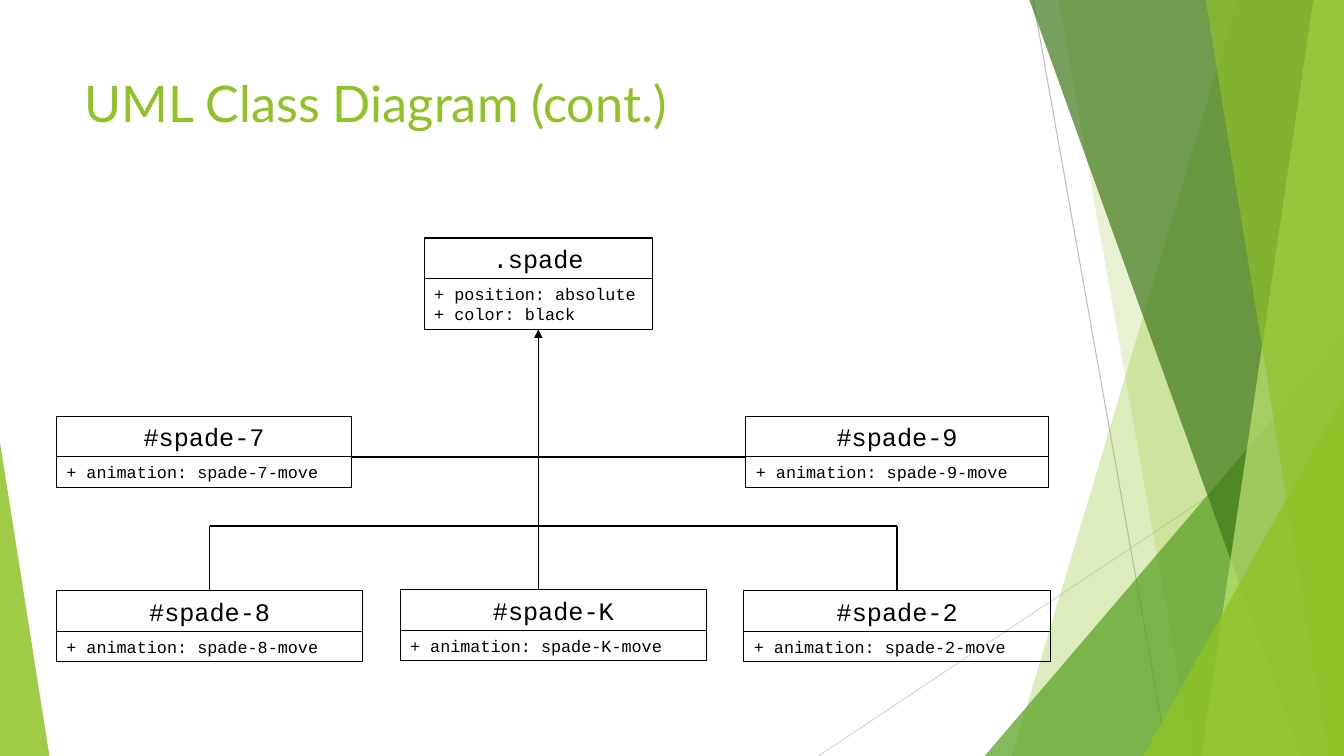
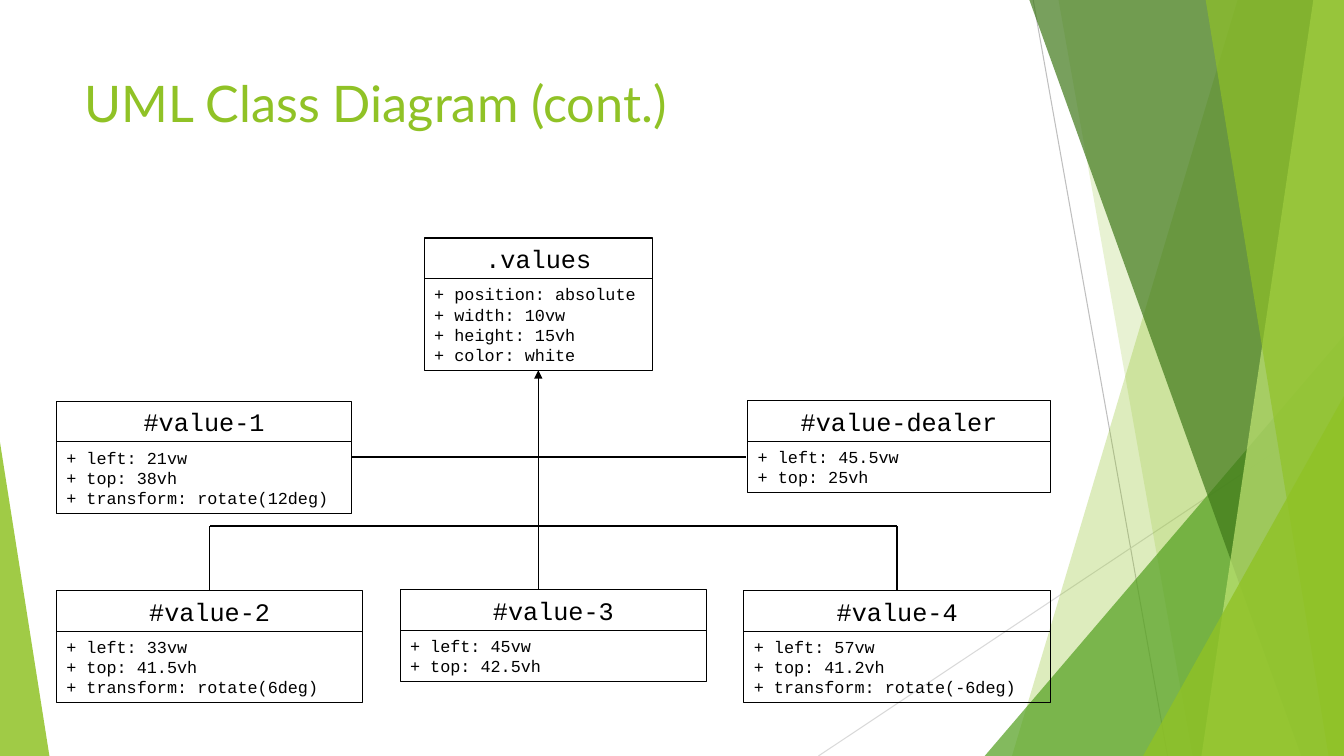
from dataclasses import dataclass

import pptx
import pptx.dml.color
import pptx.enum.dml
import pptx.enum.shapes
import pptx.enum.text
import pptx.oxml.ns
import pptx.presentation
import pptx.shapes.autoshape
import pptx.shapes.connector
import pptx.slide
import pptx.util
from lxml import etree

Pt = pptx.util.Pt
RGBColor = pptx.dml.color.RGBColor
Shape = pptx.enum.shapes.MSO_SHAPE
Align = pptx.enum.text.PP_ALIGN
Anchor = pptx.enum.text.MSO_ANCHOR
qn = pptx.oxml.ns.qn

# Shared look
LIME = RGBColor(0x90, 0xC2, 0x26)
GREEN = RGBColor(0x54, 0xA0, 0x21)
FOREST = RGBColor(0x3F, 0x78, 0x19)
PALE_LIME = RGBColor(0xC0, 0xE4, 0x74)
SILVER = RGBColor(0xBF, 0xBF, 0xBF)
LIGHT_GRAY = RGBColor(0xD9, 0xD9, 0xD9)
BLACK = RGBColor(0, 0, 0)
TITLE_FONT = "Lato"
CODE_FONT = "Courier New"

SLIDE_W, SLIDE_H = 960, 540
BLADE_TOP = -0.6
HEADER_H = 29.1
ATTRIBUTE_LINE_H = 14.54
BOX_PADDING = 7.2

# Diagram grid
PARENT_LEFT, PARENT_TOP, PARENT_W = 303.1, 170, 162.7
TRUNK_X = 384.5
SIDE_RUNG_Y, BRANCH_Y = 326.3, 375.8
ROW_LEFT, ROW_PITCH, ROW_TOP, ROW_W = 40.3, 245.55, 421.9, 218.9
MIDDLE_TOP = 421.3
LEFT_SIDE_W, RIGHT_SIDE_W = 211, 216
RIGHT_SIDE_LEFT = 532.8


@dataclass(frozen=True)
class Blade:
    """Panel reaching from a slanted left side to the right slide edge."""
    top_x: float
    bottom_x: float
    color: RGBColor
    opacity: int


@dataclass(frozen=True)
class Wedge:
    """Triangle standing on the bottom slide edge."""
    left: float
    top: float
    right: float
    apex: float
    color: RGBColor
    opacity: int


@dataclass(frozen=True)
class ClassBox:
    name: str
    attributes: tuple[str, ...]
    left: float
    top: float
    width: float

    @property
    def bottom(self) -> float:
        body = BOX_PADDING + ATTRIBUTE_LINE_H * len(self.attributes)
        return self.top + HEADER_H + body


@dataclass(frozen=True)
class Segment:
    x1: float
    y1: float
    x2: float
    y2: float
    color: RGBColor = BLACK
    weight: float = 1
    arrow: bool = False


@dataclass(frozen=True)
class Diagram:
    parent: ClassBox
    children: tuple[ClassBox, ...]


BACKDROP_LINES = (
    Segment(738, 0, 834, 540, SILVER, 0.75),
    Segment(960, 290, 584.6, 540, LIGHT_GRAY, 0.75),
)
BACKDROP_PANELS = (
    Blade(884.2, 722.9, LIME, 30),
    Blade(756, 851.8, LIME, 20),
    Wedge(703.4, 239.8, SLIDE_W, 1, GREEN, 72),
    Blade(735.1, 929.5, FOREST, 70),
    Blade(938.2, 858.2, PALE_LIME, 70),
    Blade(861.1, 949, LIME, 65),
    Wedge(816.5, 283, SLIDE_W, 1, LIME, 80),
    Wedge(0, 316, 35.3, 0, LIME, 85),
)


def parent_box(name: str, *attributes: str) -> ClassBox:
    return ClassBox(name, attributes, PARENT_LEFT, PARENT_TOP, PARENT_W)


def left_box(name: str, top: float, *attributes: str) -> ClassBox:
    return ClassBox(name, attributes, ROW_LEFT, top, LEFT_SIDE_W)


def right_box(name: str, left: float, top: float, *attributes: str) -> ClassBox:
    return ClassBox(name, attributes, left, top, RIGHT_SIDE_W)


def row_box(column: int, name: str, *attributes: str) -> ClassBox:
    top = MIDDLE_TOP if column == 1 else ROW_TOP
    return ClassBox(name, attributes, ROW_LEFT + column * ROW_PITCH, top, ROW_W)


DIAGRAMS = (
    Diagram(
        parent_box(".spade", "position: absolute", "color: black"),
        (
            left_box("#spade-7", 297.2, "animation: spade-7-move"),
            right_box("#spade-9", RIGHT_SIDE_LEFT, 297.2, "animation: spade-9-move"),
            row_box(0, "#spade-8", "animation: spade-8-move"),
            row_box(1, "#spade-K", "animation: spade-K-move"),
            row_box(2, "#spade-2", "animation: spade-2-move"),
        ),
    ),
    Diagram(
        parent_box(".values", "position: absolute", "width: 10vw",
                   "height: 15vh", "color: white"),
        (
            left_box("#value-1", 286.6, "left: 21vw", "top: 38vh",
                     "transform: rotate(12deg)"),
            right_box("#value-dealer", 534.2, 286.3, "left: 45.5vw", "top: 25vh"),
            row_box(0, "#value-2", "left: 33vw", "top: 41.5vh",
                    "transform: rotate(6deg)"),
            row_box(1, "#value-3", "left: 45vw", "top: 42.5vh"),
            row_box(2, "#value-4", "left: 57vw", "top: 41.2vh",
                    "transform: rotate(-6deg)"),
        ),
    ),
)


def draw_segment(slide: pptx.slide.Slide,
                 segment: Segment) -> pptx.shapes.connector.Connector:
    connector = slide.shapes.add_connector(
        pptx.enum.shapes.MSO_CONNECTOR.STRAIGHT,
        Pt(segment.x1), Pt(segment.y1), Pt(segment.x2), Pt(segment.y2))
    connector.line.color.rgb = segment.color
    connector.line.width = Pt(segment.weight)
    properties = connector.element.spPr
    if segment.arrow:
        etree.SubElement(properties.find(qn("a:ln")), qn("a:tailEnd"), type="triangle")
    etree.SubElement(properties, qn("a:effectLst"))
    return connector


def draw_panel(slide: pptx.slide.Slide,
               panel: Blade | Wedge) -> pptx.shapes.autoshape.Shape:
    if isinstance(panel, Blade):
        outline = slide.shapes.build_freeform(Pt(panel.top_x), Pt(BLADE_TOP))
        outline.add_line_segments([
            (Pt(SLIDE_W), Pt(BLADE_TOP)),
            (Pt(SLIDE_W), Pt(SLIDE_H)),
            (Pt(panel.bottom_x), Pt(SLIDE_H)),
        ])
        facet = outline.convert_to_shape()
    else:
        facet = slide.shapes.add_shape(
            Shape.ISOSCELES_TRIANGLE, Pt(panel.left), Pt(panel.top),
            Pt(panel.right - panel.left), Pt(SLIDE_H - panel.top))
        facet.adjustments[0] = panel.apex
    facet.shadow.inherit = False
    facet.line.fill.background()
    facet.fill.solid()
    facet.fill.fore_color.rgb = panel.color
    tint = facet.element.spPr.find(qn("a:solidFill")).find(qn("a:srgbClr"))
    etree.SubElement(tint, qn("a:alpha"), val=str(panel.opacity * 1000))
    return facet


def prepare_layout(layout: pptx.slide.SlideLayout) -> None:
    """Keep only the title placeholder and set its place."""
    for placeholder in list(layout.placeholders):
        if placeholder.placeholder_format.type == pptx.enum.shapes.PP_PLACEHOLDER.TITLE:
            placeholder.left, placeholder.top = Pt(53.3), Pt(48)
            placeholder.width, placeholder.height = Pt(676.8), Pt(104)
        else:
            layout.shapes.element.remove(placeholder.element)


def add_backdrop(layout: pptx.slide.SlideLayout, slide: pptx.slide.Slide) -> None:
    """Draw the backdrop on a slide, then hand it to the shared layout."""
    facets = [draw_segment(slide, line) for line in BACKDROP_LINES]
    facets += [draw_panel(slide, panel) for panel in BACKDROP_PANELS]
    for facet in facets:
        layout.shapes.element.append(facet.element)


def write_title(slide: pptx.slide.Slide, text: str) -> None:
    frame = slide.shapes.title.text_frame
    frame.text = text
    frame.vertical_anchor = Anchor.TOP
    heading = frame.paragraphs[0]
    heading.alignment = Align.LEFT
    font = heading.runs[0].font
    font.name, font.size = TITLE_FONT, Pt(36)
    font.color.rgb = LIME


def draw_compartment(slide: pptx.slide.Slide, box: ClassBox, top: float,
                     height: float, text: str, size: float,
                     alignment: pptx.enum.text.PP_ALIGN) -> None:
    compartment = slide.shapes.add_shape(
        Shape.RECTANGLE, Pt(box.left), Pt(top), Pt(box.width), Pt(height))
    compartment.shadow.inherit = False
    compartment.fill.background()
    compartment.line.color.rgb = BLACK
    compartment.line.width = Pt(0.75)
    frame = compartment.text_frame
    frame.text = text
    frame.word_wrap = True
    frame.auto_size = pptx.enum.text.MSO_AUTO_SIZE.SHAPE_TO_FIT_TEXT
    frame.vertical_anchor = Anchor.MIDDLE
    for paragraph in frame.paragraphs:
        paragraph.alignment = alignment
        for run in paragraph.runs:
            run.font.name, run.font.size = CODE_FONT, Pt(size)
            run.font.color.rgb = BLACK


def draw_class(slide: pptx.slide.Slide, box: ClassBox) -> None:
    body_top = box.top + HEADER_H
    attributes = "\n".join(f"+ {attribute}" for attribute in box.attributes)
    draw_compartment(slide, box, box.top, HEADER_H, box.name, 18, Align.CENTER)
    draw_compartment(slide, box, body_top, box.bottom - body_top, attributes, 12,
                     Align.LEFT)


def draw_inheritance(slide: pptx.slide.Slide, parent: ClassBox) -> None:
    # Trunk up to the parent and down to the middle child
    draw_segment(slide, Segment(TRUNK_X, SIDE_RUNG_Y, TRUNK_X, parent.bottom, arrow=True))
    draw_segment(slide, Segment(TRUNK_X, SIDE_RUNG_Y, TRUNK_X, BRANCH_Y))
    draw_segment(slide, Segment(TRUNK_X, BRANCH_Y, TRUNK_X, MIDDLE_TOP))
    # Rungs to the side children
    for side_x in (ROW_LEFT + LEFT_SIDE_W, RIGHT_SIDE_LEFT):
        draw_segment(slide, Segment(TRUNK_X, SIDE_RUNG_Y, side_x, SIDE_RUNG_Y))
    # Branches to the outer children of the bottom row
    for column in (0, 2):
        child_x = ROW_LEFT + column * ROW_PITCH + ROW_W / 2
        draw_segment(slide, Segment(TRUNK_X, BRANCH_Y, child_x, BRANCH_Y))
        draw_segment(slide, Segment(child_x, BRANCH_Y, child_x, ROW_TOP))


def main() -> None:
    deck = pptx.Presentation()
    deck.slide_width, deck.slide_height = Pt(SLIDE_W), Pt(SLIDE_H)
    layout = deck.slide_layouts[5]
    prepare_layout(layout)
    for number, diagram in enumerate(DIAGRAMS):
        slide = deck.slides.add_slide(layout)
        if number == 0:
            add_backdrop(layout, slide)
        write_title(slide, "UML Class Diagram (cont.)")
        for box in (diagram.parent, *diagram.children):
            draw_class(slide, box)
        draw_inheritance(slide, diagram.parent)
    deck.save("out.pptx")


if __name__ == "__main__":
    main()
